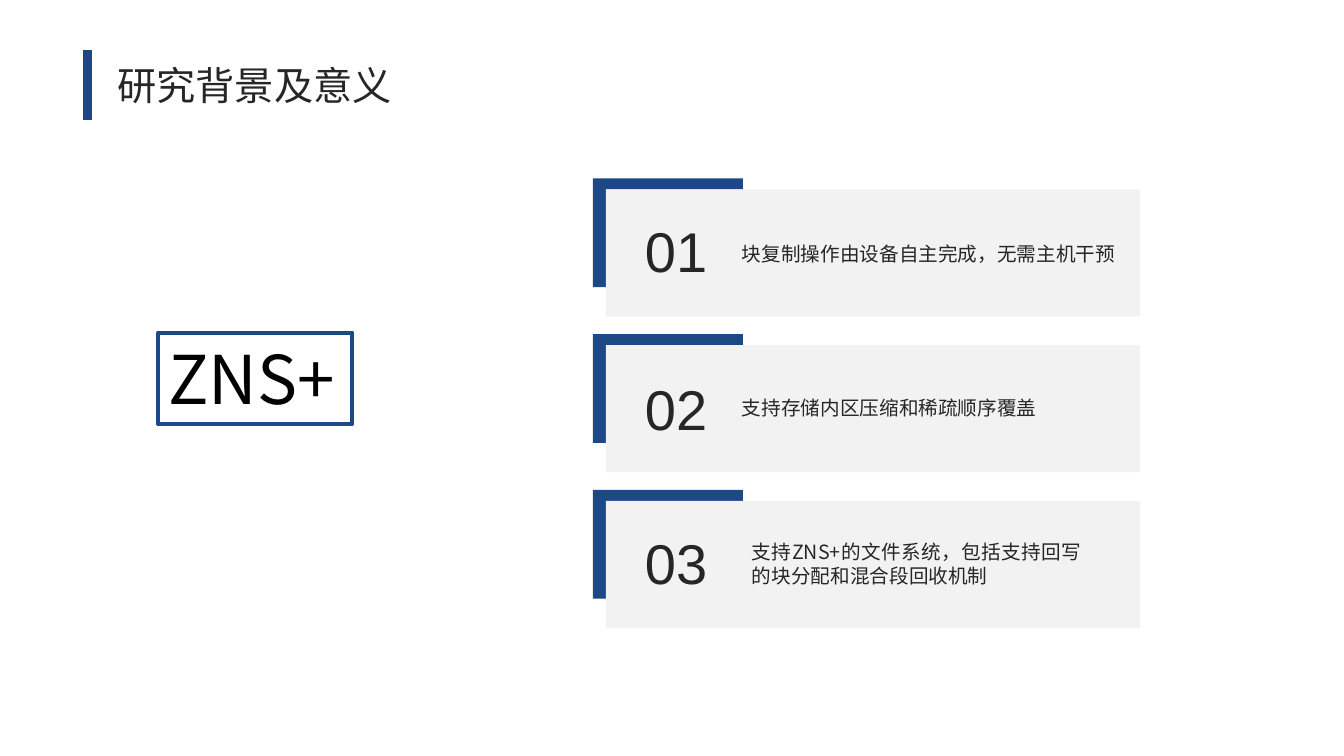
"""Build the research background slide with three numbered ZNS+ features."""
from pptx import Presentation
from pptx.dml.color import RGBColor
from pptx.enum.shapes import MSO_CONNECTOR as Connector, MSO_SHAPE as Shape
from pptx.enum.text import MSO_ANCHOR as Anchor, MSO_AUTO_SIZE as AutoSize, PP_ALIGN as Align
from pptx.oxml.ns import qn
from pptx.util import Inches, Pt
from lxml.etree import SubElement

BLUE = RGBColor(0x1C, 0x48, 0x85)
GREY = RGBColor(0xF2, 0xF2, 0xF2)
DARK = RGBColor(0x26, 0x26, 0x26)
BLACK = RGBColor(0, 0, 0)
SANS, LATIN = "Noto Sans CJK SC", "Arial"

TITLE = "研究背景及意义"
TOPIC = "ZNS+"
FEATURES = [
    ("01", 2.1, "块复制操作由设备自主完成，无需主机干预", (7.26, 2.35, 3.91, 0.34)),
    ("02", 3.67, "支持存储内区压缩和稀疏顺序覆盖", (7.26, 3.88, 3.45, 0.34)),
    ("03", 5.19, "支持ZNS+的文件系统，包括支持回写的块分配和混合段回收机制", (7.36, 5.31, 3.46, 0.57)),
]
CARD_LEFT, CARD_WIDTH, CARD_HEIGHT = 6.01, 5.3, 1.26
FIRST_TOP, LAST_TOP = 1.88, 4.97
BAR_WIDTH, BAR_HEIGHT = 0.13, 1.08
CAP_WIDTH, CAP_HEIGHT = 1.36, 0.11

deck = Presentation()
deck.slide_width, deck.slide_height = Inches(13.33), Inches(7.5)
page = deck.slides.add_slide(deck.slide_layouts[6])


def add_block(left, top, width, height, fill=None):
    block = page.shapes.add_shape(Shape.RECTANGLE, *map(Inches, (left, top, width, height)))
    block.shadow.inherit = False
    if fill is None:
        block.fill.background()
        block.line.color.rgb = BLUE
        block.line.width = Pt(3)
    else:
        block.fill.solid()
        block.fill.fore_color.rgb = fill
        block.line.fill.background()
    return block


def write(box, text, size, font=SANS, color=DARK, align=Align.LEFT):
    frame = box.text_frame
    frame.word_wrap = True
    frame.auto_size = AutoSize.SHAPE_TO_FIT_TEXT
    frame.vertical_anchor = Anchor.TOP
    para = frame.paragraphs[0]
    para.alignment = align
    span = para.add_run()
    span.text = text
    span.font.size = Pt(size)
    span.font.name = font
    span.font.color.rgb = color
    SubElement(span.font._element, qn("a:ea"), typeface=font)


def add_text(place, text, size, **style):
    write(page.shapes.add_textbox(*map(Inches, place)), text, size, **style)


add_text((0.21, 0.56, 4.63, 0.57), TITLE, 28, align=Align.CENTER)
rule = page.shapes.add_connector(
    Connector.STRAIGHT, Inches(0.87), Inches(0.5), Inches(0.87), Inches(1.19))
rule.line.color.rgb = BLUE
rule.line.width = Pt(6)
SubElement(rule._element.spPr, qn("a:effectLst"))

pitch = (LAST_TOP - FIRST_TOP) / (len(FEATURES) - 1)
for index, (number, number_top, text, place) in enumerate(FEATURES):
    top = FIRST_TOP + index * pitch
    cap_top = top - CAP_HEIGHT
    add_block(CARD_LEFT - BAR_WIDTH, cap_top, BAR_WIDTH, BAR_HEIGHT, BLUE)
    add_block(CARD_LEFT, cap_top, CAP_WIDTH, CAP_HEIGHT, BLUE)
    add_block(CARD_LEFT, top, CARD_WIDTH, CARD_HEIGHT, GREY)
    add_text((6.14, number_top, 1.13, 0.77), number, 40, font=LATIN, align=Align.CENTER)
    add_text(place, text, 14, align=Align.JUSTIFY)

write(add_block(1.57, 3.3, 1.92, 0.91), TOPIC, 48, color=BLACK)
deck.save("out.pptx")
